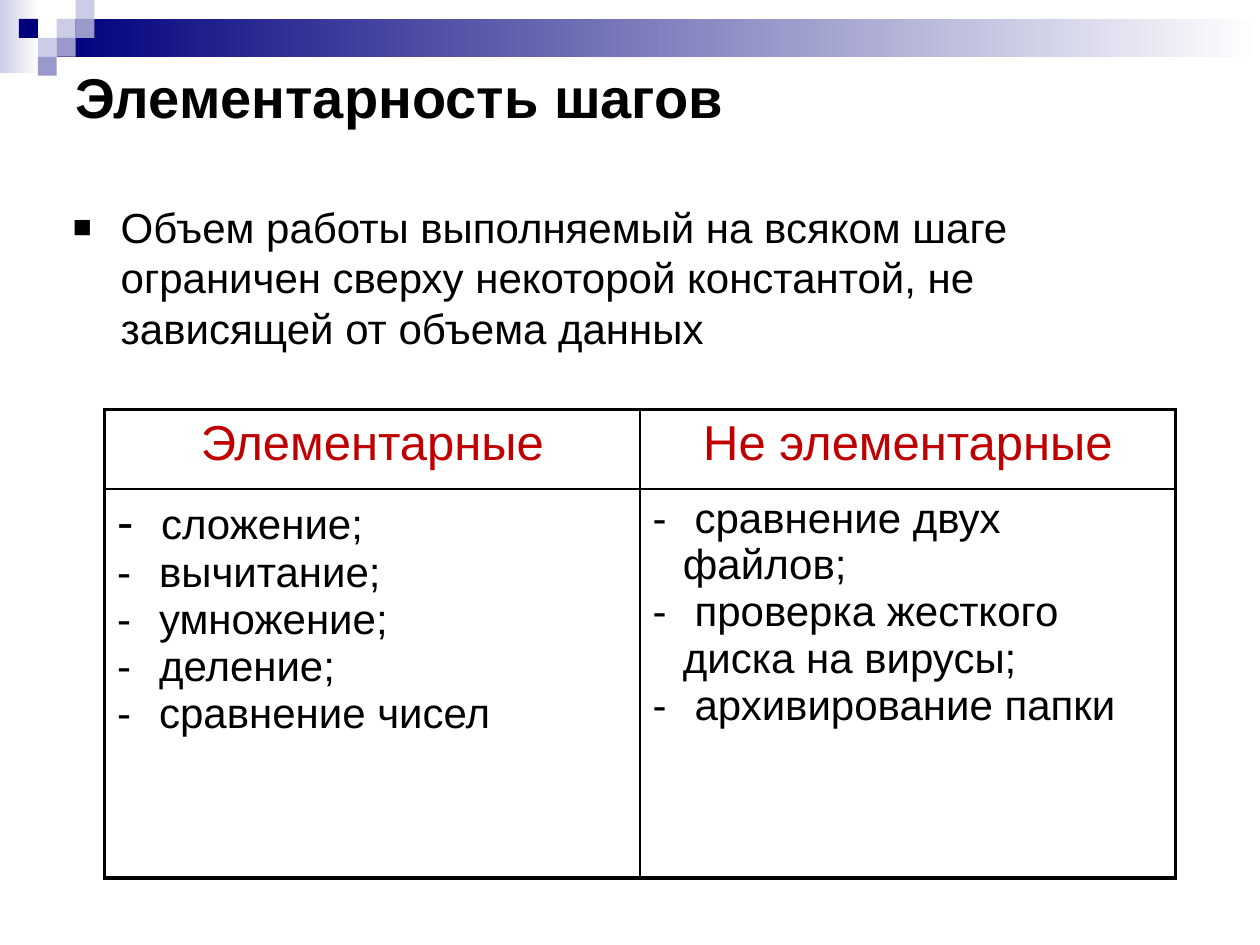
from dataclasses import dataclass

from lxml import etree
from pptx import Presentation
from pptx.dml.color import RGBColor
from pptx.enum.shapes import MSO_SHAPE
from pptx.enum.text import MSO_ANCHOR, PP_ALIGN
from pptx.oxml.ns import qn
from pptx.util import Inches, Pt

RECTANGLE = MSO_SHAPE.RECTANGLE
MIDDLE = MSO_ANCHOR.MIDDLE
CENTER = PP_ALIGN.CENTER

BLACK = RGBColor(0x00, 0x00, 0x00)
WHITE = RGBColor(0xFF, 0xFF, 0xFF)
RED = RGBColor(0xC0, 0x00, 0x00)
NAVY = RGBColor(0x00, 0x00, 0x7D)
LAVENDER = RGBColor(0xCC, 0xCC, 0xE6)
PERIWINKLE = RGBColor(0x99, 0x99, 0xCC)

FONT = "Arial"
TILE = 0.15
OUTER_PT, INNER_PT = 2.25, 1


@dataclass
class Band:
    left: float
    top: float
    width: float
    height: float
    color: RGBColor


@dataclass
class Tile:
    column: int
    row: int
    color: RGBColor


@dataclass
class Column:
    heading: str
    steps: list[str]


BANDS = [
    Band(0, 0, 0.31, 0.58, LAVENDER),
    Band(0.45, 0.15, 9.55, 0.3, NAVY),
]
TILES = [
    Tile(3, 1, LAVENDER),
    Tile(4, 0, LAVENDER),
    Tile(4, 1, PERIWINKLE),
    Tile(2, 2, LAVENDER),
    Tile(1, 1, NAVY),
    Tile(3, 2, PERIWINKLE),
    Tile(2, 3, PERIWINKLE),
]
COLUMNS = [
    Column("Элементарные",
           ["сложение;", "вычитание;", "умножение;", "деление;", "сравнение чисел"]),
    Column("Не элементарные",
           ["сравнение двух файлов;", "проверка жесткого диска на вирусы;",
            "архивирование папки"]),
]


def add_block(slide, left: float, top: float, width: float, height: float):
    block = slide.shapes.add_shape(
        RECTANGLE, Inches(left), Inches(top), Inches(width), Inches(height))
    block.shadow.inherit = False
    block.line.fill.background()
    return block


def add_band(slide, band: Band) -> None:
    fill = add_block(slide, band.left, band.top, band.width, band.height).fill
    fill.gradient()
    fill.gradient_angle = 0
    for stop, color, position in zip(fill.gradient_stops, (band.color, WHITE), (0, 1)):
        stop.color.rgb = color
        stop.position = position


def add_tile(slide, tile: Tile) -> None:
    block = add_block(slide, tile.column * TILE, tile.row * TILE, TILE, TILE)
    block.fill.solid()
    block.fill.fore_color.rgb = tile.color


def add_text(slide, left: float, top: float, width: float, height: float):
    frame = slide.shapes.add_textbox(
        Inches(left), Inches(top), Inches(width), Inches(height)).text_frame
    frame.word_wrap = True
    return frame


def set_font(paragraph, size: float, color: RGBColor = BLACK, bold: bool = False) -> None:
    font = paragraph.font
    font.name, font.size, font.bold = FONT, Pt(size), bold
    font.color.rgb = color


def set_bullet(paragraph, char: str, indent: float, percent: int = 100) -> None:
    properties = paragraph._p.get_or_add_pPr()
    properties.set("marL", str(Inches(indent)))
    properties.set("indent", str(-Inches(indent)))
    bullet_color = etree.Element(qn("a:buClr"))
    etree.SubElement(bullet_color, qn("a:srgbClr"), val=str(BLACK))
    bullet_size = etree.Element(qn("a:buSzPct"), val=str(percent * 1000))
    bullet_font = etree.Element(qn("a:buFont"), typeface=FONT)
    bullet = etree.Element(qn("a:buChar"), char=char)
    # Bullet settings stand before the default run properties
    for element in (bullet_color, bullet_size, bullet_font, bullet):
        properties.find(qn("a:defRPr")).addprevious(element)


def set_borders(cell, row: int, column: int) -> None:
    outer_sides = {"L": column == 0, "R": column == 1, "T": row == 0, "B": row == 1}
    properties = cell._tc.get_or_add_tcPr()
    for side, outer in outer_sides.items():
        width = Pt(OUTER_PT if outer else INNER_PT)
        line = etree.SubElement(properties, qn(f"a:ln{side}"), w=str(width))
        fill = etree.SubElement(line, qn("a:solidFill"))
        etree.SubElement(fill, qn("a:srgbClr"), val=str(BLACK))
    cell.fill.background()


def fill_heading(cell, heading: str) -> None:
    paragraph = cell.text_frame.paragraphs[0]
    paragraph.text = heading
    paragraph.alignment = CENTER
    set_font(paragraph, 28, RED)


def fill_steps(cell, steps: list[str], first_space_pt: float) -> None:
    frame = cell.text_frame
    for index, step in enumerate(steps):
        paragraph = frame.add_paragraph() if index else frame.paragraphs[0]
        space = paragraph.add_run()
        space.text = " "
        if index == 0:
            space.font.size = Pt(first_space_pt)
        paragraph.add_run().text = step
        set_font(paragraph, 24)
        set_bullet(paragraph, "-", 0.24)


def main() -> None:
    prs = Presentation()
    prs.slide_width, prs.slide_height = Inches(10), Inches(7.5)
    slide = prs.slides.add_slide(prs.slide_layouts[6])

    # Header decoration
    for band in BANDS:
        add_band(slide, band)
    for tile in TILES:
        add_tile(slide, tile)

    # Title
    title_frame = add_text(slide, 0.5, 0.5, 9, 0.53)
    title_frame.vertical_anchor = MIDDLE
    title = title_frame.paragraphs[0]
    title.text = "Элементарность шагов"
    set_font(title, 32, bold=True)

    # Definition
    definition = add_text(slide, 0.48, 1.55, 9, 1.42).paragraphs[0]
    definition.text = ("Объем работы выполняемый на всяком шаге ограничен сверху "
                       "некоторой константой, не зависящей от объема данных")
    definition.space_before = Pt(5.6)
    set_font(definition, 24)
    set_bullet(definition, "■", 0.38, 75)

    # Table of elementary and non-elementary steps
    table = slide.shapes.add_table(
        2, 2, Inches(0.83), Inches(3.25), Inches(8.5), Inches(3.72)).table
    table.first_row = table.horz_banding = False
    table.rows[0].height, table.rows[1].height = Inches(0.63), Inches(3.09)
    for index, column in enumerate(COLUMNS):
        fill_heading(table.cell(0, index), column.heading)
        fill_steps(table.cell(1, index), column.steps, 24 if index else 28)
        for row in range(2):
            set_borders(table.cell(row, index), row, index)

    prs.save("out.pptx")


if __name__ == "__main__":
    main()
